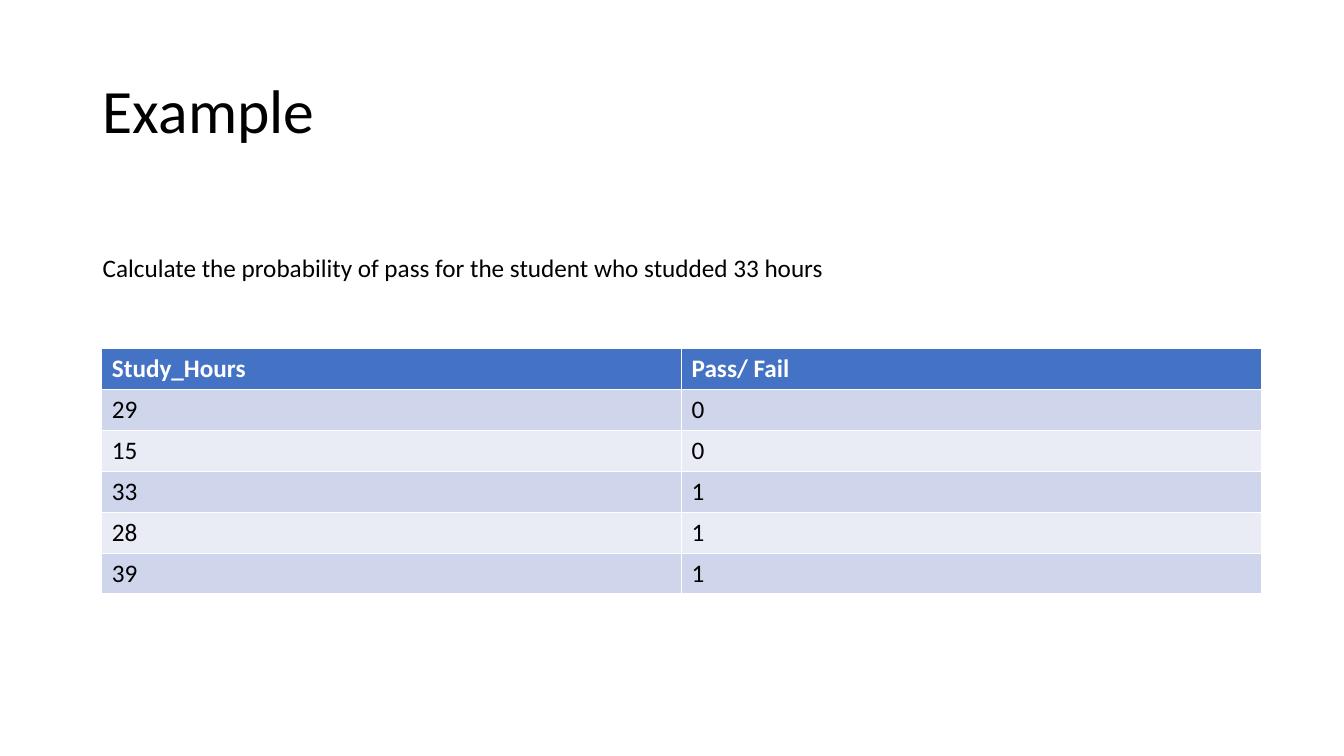
from pptx import Presentation
from pptx.dml.color import RGBColor
from pptx.enum.text import MSO_ANCHOR, PP_ALIGN
from pptx.util import Inches, Pt

LEFT = PP_ALIGN.LEFT
MIDDLE = MSO_ANCHOR.MIDDLE

TITLE = "Example"
QUESTION = "Calculate the probability of pass for the student who studded 33 hours"
HEADER = ("Study_Hours", "Pass/ Fail")
RESULTS = [(29, 0), (15, 0), (33, 1), (28, 1), (39, 1)]

FONT = "Calibri"
COLORS = {
    "text": "000000",
    "header_text": "FFFFFF",
    "header": "4472C4",
    "odd_row": "CFD5EA",
    "even_row": "E9EBF5",
}
CONTENT_WIDTH = 11.5
TEXT_LEFT = 0.92
TABLE_LEFT, TABLE_TOP = 1.01, 3.46
ROW_HEIGHT = 2.43 / 6


def color(name):
    return RGBColor.from_string(COLORS[name])


def write(text_frame, text, size, color_name="text", bold=False):
    text_frame.text = text
    paragraph = text_frame.paragraphs[0]
    paragraph.alignment = LEFT
    font = paragraph.runs[0].font
    font.name = FONT
    font.size = Pt(size)
    font.bold = bold
    font.color.rgb = color(color_name)
    return paragraph


def add_title(slide):
    title = slide.shapes.title
    title.left, title.top = Inches(TEXT_LEFT), Inches(0.4)
    title.width, title.height = Inches(CONTENT_WIDTH), Inches(1.45)
    title.text_frame.vertical_anchor = MIDDLE
    write(title.text_frame, TITLE, 44).line_spacing = 0.9


def add_question(slide):
    question = slide.shapes.add_textbox(
        Inches(TEXT_LEFT), Inches(2.45), Inches(CONTENT_WIDTH), Inches(0.4))
    question.text_frame.word_wrap = True
    write(question.text_frame, QUESTION, 18)


def add_results(slide):
    rows = [HEADER, *RESULTS]
    table = slide.shapes.add_table(
        len(rows), len(HEADER), Inches(TABLE_LEFT), Inches(TABLE_TOP),
        Inches(CONTENT_WIDTH), Inches(ROW_HEIGHT * len(rows))).table
    for row_index, values in enumerate(rows):
        is_header = row_index == 0
        band = "odd_row" if row_index % 2 else "even_row"
        for column_index, value in enumerate(values):
            cell = table.cell(row_index, column_index)
            cell.fill.solid()
            cell.fill.fore_color.rgb = color("header" if is_header else band)
            write(cell.text_frame, str(value), 18,
                  "header_text" if is_header else "text", is_header)


def main():
    presentation = Presentation()
    presentation.slide_width = Inches(13.33)
    presentation.slide_height = Inches(7.5)
    slide = presentation.slides.add_slide(presentation.slide_layouts[5])
    add_title(slide)
    add_results(slide)
    add_question(slide)
    presentation.save("out.pptx")


if __name__ == "__main__":
    main()
